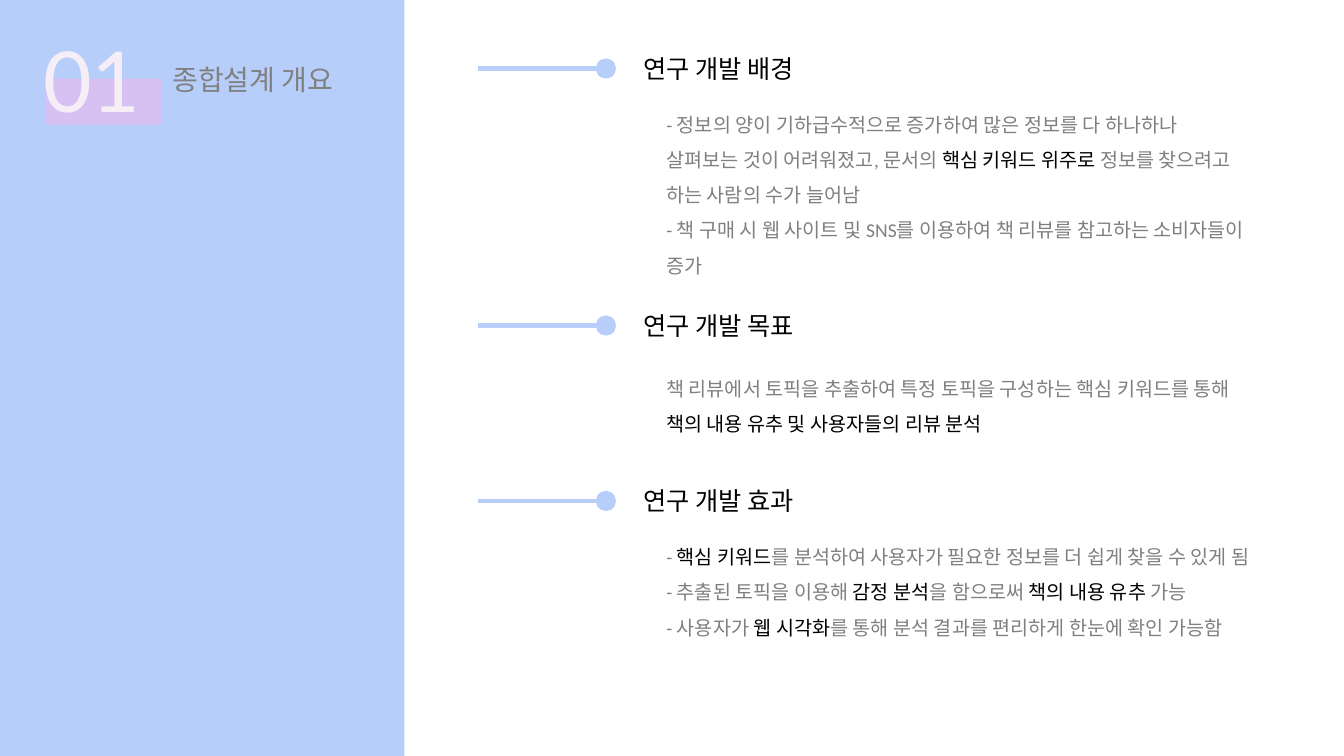
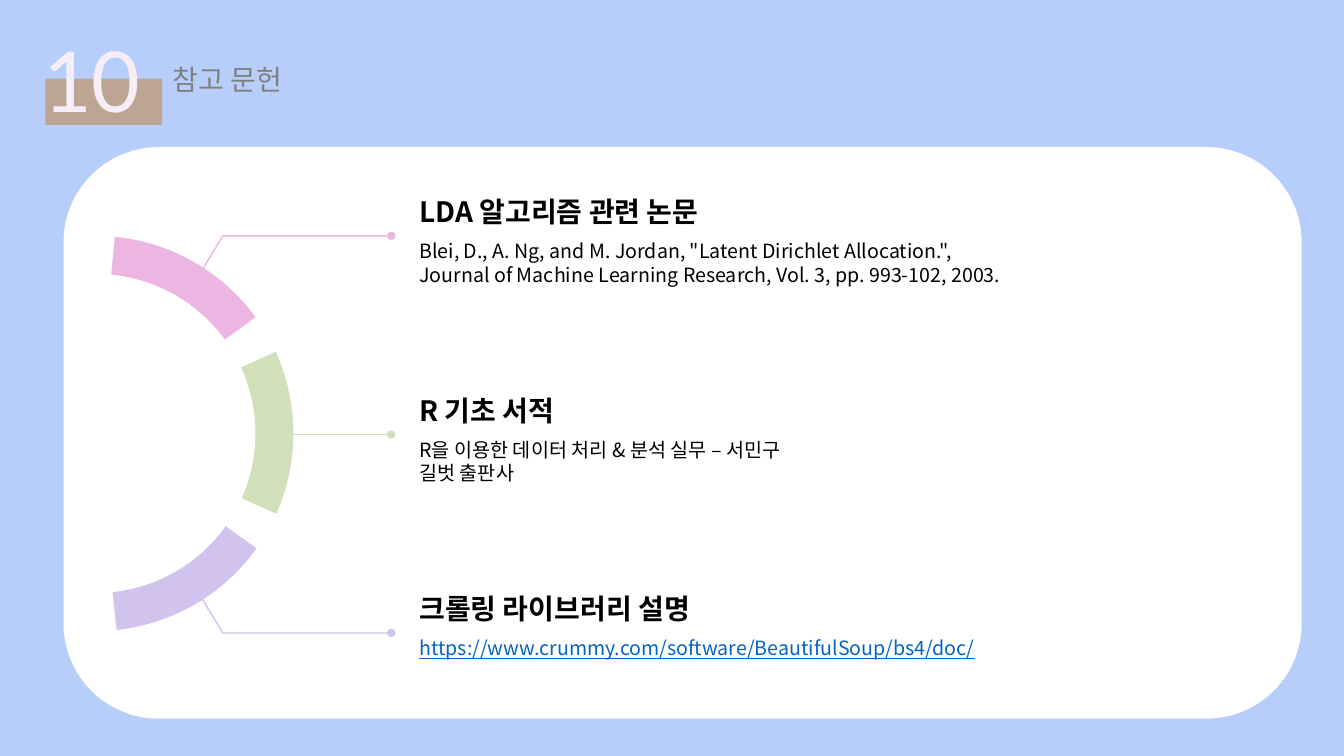
"""Build a project overview slide and a references slide."""
from lxml import etree
from pptx import Presentation
from pptx.dml.color import RGBColor
from pptx.enum.shapes import MSO_CONNECTOR, MSO_SHAPE
from pptx.enum.text import MSO_ANCHOR, MSO_AUTO_SIZE, PP_ALIGN
from pptx.oxml.ns import qn
from pptx.util import Inches, Pt

RECT, ROUND, OVAL, ARC = (MSO_SHAPE.RECTANGLE, MSO_SHAPE.ROUNDED_RECTANGLE,
                          MSO_SHAPE.OVAL, MSO_SHAPE.BLOCK_ARC)
STRAIGHT = MSO_CONNECTOR.STRAIGHT
LEFT, TOP, NO_FIT = PP_ALIGN.LEFT, MSO_ANCHOR.TOP, MSO_AUTO_SIZE.NONE

BLUE = RGBColor(0xB7, 0xCE, 0xFB)
WHITE = RGBColor(0xFF, 0xFF, 0xFF)
BLACK = RGBColor(0, 0, 0)
GRAY = RGBColor(0x80, 0x80, 0x80)
PALE = RGBColor(0xF5, 0xEE, 0xF6)
LILAC = RGBColor(0xD6, 0xC1, 0xF2)
TAN = RGBColor(0xBE, 0xA4, 0x93)
PINK = RGBColor(0xEC, 0xB5, 0xE2)
GREEN = RGBColor(0xD1, 0xE0, 0xBB)
VIOLET = RGBColor(0xD2, 0xC2, 0xEE)
LINK = RGBColor(0x05, 0x63, 0xC1)

LATO, CALIBRI, NOTO = "Lato", "Calibri", "Noto Sans CJK KR"
WIDTH, HEIGHT = 13.33, 7.5
COMPARISON_LAYOUT = 4

TOPICS = [
    dict(heading="연구 개발 배경", y=0.68, top=0.95, height=1.82, lines=[
        "- 정보의 양이 기하급수적으로 증가하여 많은 정보를 다 하나하나 살펴보는 것이 "
        "어려워졌고, 문서의 |핵심 키워드 위주로| 정보를 찾으려고 하는 사람의 수가 늘어남",
        "- 책 구매 시 웹 사이트 및 SNS를 이용하여 책 리뷰를 참고하는 소비자들이 증가"]),
    dict(heading="연구 개발 목표", y=3.23, top=3.57, height=0.76, lines=[
        "책 리뷰에서 토픽을 추출하여 특정 토픽을 구성하는 핵심 키워드를 통해 "
        "|책의 내용 유추 및 사용자들의 리뷰 분석"]),
    dict(heading="연구 개발 효과", y=4.97, top=5.24, height=1.82, lines=[
        "- |핵심 키워드|를 분석하여 사용자가 필요한 정보를 더 쉽게 찾을 수 있게 됨",
        "- 추출된 토픽을 이용해 |감정 분석|을 함으로써 |책의 내용 유추 |가능",
        "- 사용자가 |웹 시각화|를 통해 분석 결과를 편리하게 한눈에 확인 가능함"]),
]
REFERENCES = [
    dict(heading="LDA 알고리즘 관련 논문", color=PINK, weight=1, lines=[
        'Blei, D., A. Ng, and M. Jordan, "Latent Dirichlet Allocation.",',
        "Journal of Machine Learning Research, Vol. 3, pp. 993-102, 2003."]),
    dict(heading="R 기초 서적", color=GREEN, weight=0.5, lines=[
        "R을 이용한 데이터 처리 & 분석 실무 – 서민구", "길벗 출판사"]),
    dict(heading="크롤링 라이브러리 설명", color=VIOLET, weight=1, link=True, lines=[
        "https://www.crummy.com/software/BeautifulSoup/bs4/doc/"]),
]


def write(sp, lines, box, size, font, color, strong=BLACK, bold=False,
          underline=False, spacing=1.0):
    """Fill a shape with paragraphs; parts between bars take the strong colour."""
    sp.left, sp.top, sp.width, sp.height = map(Inches, box)
    tf = sp.text_frame
    tf.word_wrap, tf.auto_size, tf.vertical_anchor = True, NO_FIT, TOP
    for i, line in enumerate(lines):
        p = tf.add_paragraph() if i else tf.paragraphs[0]
        p.alignment, p.line_spacing = LEFT, spacing
        p.space_before = p.space_after = Pt(0)
        pPr = p._p.get_or_add_pPr()
        pPr.set("marL", "0")
        pPr.set("indent", "0")
        etree.SubElement(pPr, qn("a:buNone"))
        for j, part in enumerate(line.split("|")):
            r = p.add_run()
            r.text = part
            r.font.size, r.font.name = Pt(size), font
            r.font.bold, r.font.underline = bold, underline
            r.font.color.rgb = strong if j % 2 else color
            etree.SubElement(r._r.get_or_add_rPr(), qn("a:ea"), typeface=NOTO)
    sp._element.getparent().append(sp._element)


def add_text(s, text, box, size, font, color, **fmt):
    """Add a one-paragraph text box."""
    write(s.shapes.add_textbox(0, 0, 0, 0), [text], box, size, font, color, **fmt)


def add_block(s, kind, box, color):
    """Add a plain filled shape without outline."""
    sp = s.shapes.add_shape(kind, *map(Inches, box))
    sp.shadow.inherit = False
    sp.fill.solid()
    sp.fill.fore_color.rgb = color
    sp.line.fill.background()
    return sp


def add_line(s, points, color, weight, ends=False):
    """Draw a straight connector or an open polyline, with optional oval ends."""
    points = [tuple(map(Inches, pt)) for pt in points]
    if len(points) == 2:
        sp = s.shapes.add_connector(STRAIGHT, *points[0], *points[1])
        etree.SubElement(sp._element.spPr, qn("a:effectLst"))
    else:
        builder = s.shapes.build_freeform(*points[0])
        builder.add_line_segments(points[1:], close=False)
        sp = builder.convert_to_shape()
        sp.shadow.inherit = False
        sp.fill.background()
    sp.line.color.rgb, sp.line.width = color, Pt(weight)
    if ends:
        ln = sp.line._get_or_add_ln()
        for tag in ("a:headEnd", "a:tailEnd"):
            etree.SubElement(ln, qn(tag), type="oval")


def add_slide(prs, number, title, band):
    """Add a slide with its numbered title and return it with three body placeholders."""
    s = prs.slides.add_slide(prs.slide_layouts[COMPARISON_LAYOUT])
    _, *bodies, spare = list(s.placeholders)
    spare._element.getparent().remove(spare._element)
    add_block(s, RECT, (0.45, 0.78, 1.16, 0.46), band)
    add_text(s, number, (0.33, 0.23, 1.28, 1.11), 60, LATO, PALE)
    write(s.shapes.title, [title], (1.61, 0.57, 3.38, 0.44), 20, LATO, GRAY)
    return s, bodies


def build_overview(prs):
    """List the project's background, goal and effects beside a blue side band."""
    s, bodies = add_slide(prs, "01", "종합설계 개요", LILAC)
    panel_left, dot = 4.01, 0.2
    add_block(s, RECT, (panel_left, 0, WIDTH - panel_left, HEIGHT), WHITE)
    for topic, body in zip(TOPICS, bodies):
        y = topic["y"]
        add_line(s, [(4.74, y), (5.93, y)], BLUE, 3)
        add_block(s, OVAL, (5.91, y - dot / 2, dot, dot), BLUE)
        add_text(s, topic["heading"], (6.28, y - 0.2, 2.99, 0.4), 18, CALIBRI, BLACK)
        write(body, topic["lines"], (6.51, topic["top"], 6.01, topic["height"]),
              14, CALIBRI, GRAY, spacing=1.5)


def build_references(prs):
    """Place three references around a ring of arcs on a white card."""
    s, bodies = add_slide(prs, "10", "참고 문헌", TAN)
    add_block(s, ROUND, (0.63, 1.46, 12.28, 5.67), WHITE)
    ring, middle, step = 3.92, 4.31, 1.97
    for i, ref in enumerate(REFERENCES):
        arc = add_block(s, ARC, (-1.01, 2.34, ring, ring), ref["color"])
        arc.rotation = 5.6 + 60 * i
        for k, value in enumerate((161.97, 191.01, 0.096)):
            arc.adjustments[k] = value
    for i, (ref, body) in enumerate(zip(REFERENCES, bodies)):
        side = i - 1
        y = middle + side * step
        elbow = [(2.21, y), (1.89, y - side * 0.53)] if side else [(2.78, y)]
        add_line(s, [(3.88, y), *elbow], ref["color"], ref["weight"], ends=True)
        link = ref.get("link", False)
        add_text(s, ref["heading"], (4.06, y - 0.46, 6.16, 0.44), 20, NOTO, BLACK, bold=True)
        write(body, ref["lines"], (4.06, y - 0.02, 6.16, 0.57), 14, NOTO,
              LINK if link else BLACK, underline=link)


def main():
    """Create and save the presentation."""
    prs = Presentation()
    prs.slide_width, prs.slide_height = Inches(WIDTH), Inches(HEIGHT)
    fill = prs.slide_master.background.fill
    fill.solid()
    fill.fore_color.rgb = BLUE
    build_overview(prs)
    build_references(prs)
    prs.save("out.pptx")


if __name__ == "__main__":
    main()
